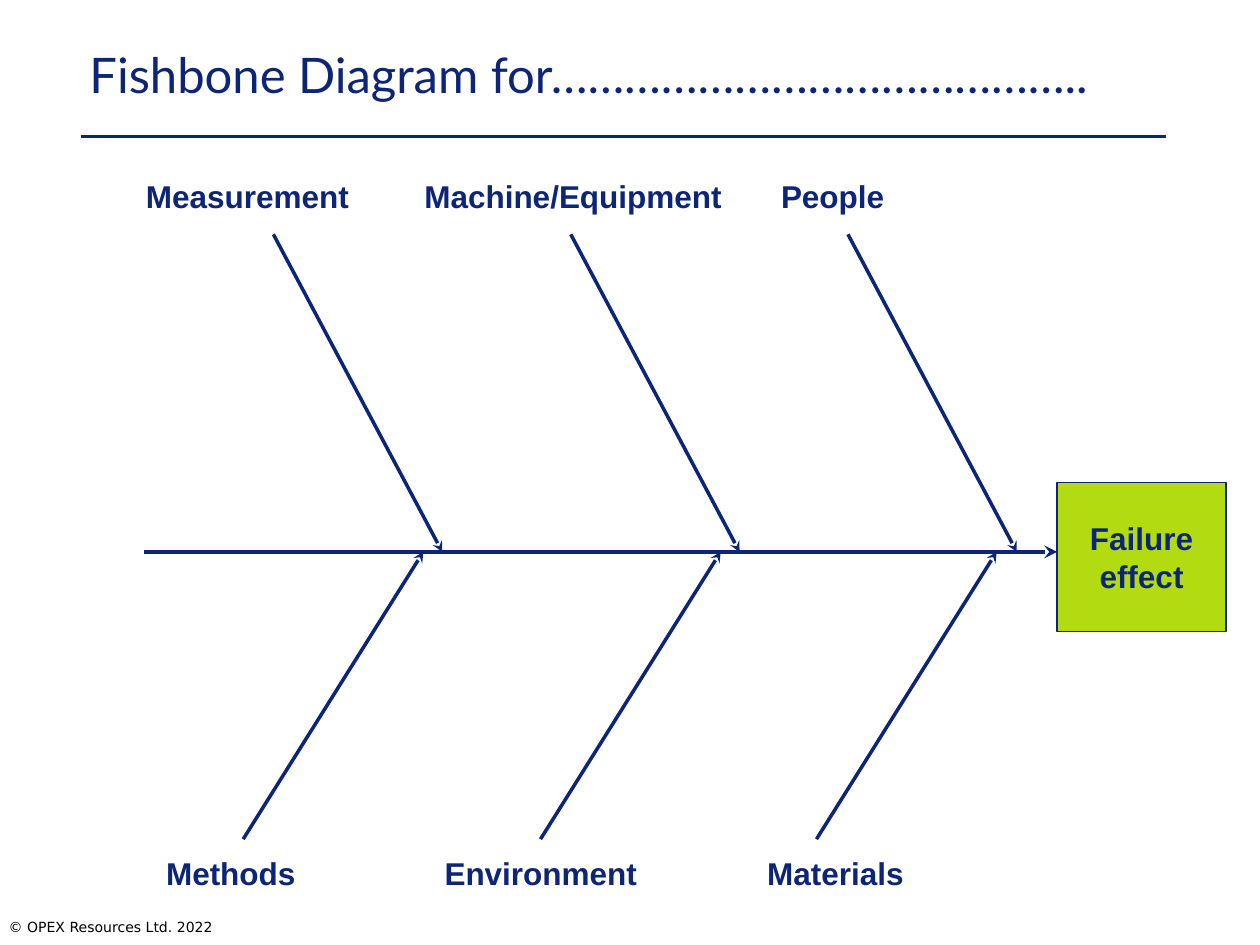
from lxml import etree
from pptx import Presentation
from pptx.dml.color import RGBColor
from pptx.enum.shapes import MSO_CONNECTOR, MSO_SHAPE
from pptx.enum.text import MSO_ANCHOR, MSO_AUTO_SIZE, PP_ALIGN
from pptx.oxml.ns import qn
from pptx.util import Inches, Pt

NAVY = RGBColor(0x0C, 0x25, 0x77)
LIME = RGBColor(0xB3, 0xDB, 0x11)
BLACK = RGBColor(0x00, 0x00, 0x00)

STRAIGHT = MSO_CONNECTOR.STRAIGHT
RECTANGLE = MSO_SHAPE.RECTANGLE
LEFT, CENTER = PP_ALIGN.LEFT, PP_ALIGN.CENTER
TOP, MIDDLE = MSO_ANCHOR.TOP, MSO_ANCHOR.MIDDLE
NO_AUTOFIT = MSO_AUTO_SIZE.NONE

SPINE_Y = 4.38
UPPER_CAUSES = [
    ("Measurement", 1.06, 1.81, 2.17),
    ("Machine/Equipment", 3.27, 2.56, 4.53),
    ("People", 6.1, 1.02, 6.73),
]
LOWER_CAUSES = [
    ("Methods", 1.22, 1.23, 1.93),
    ("Environment", 3.43, 1.73, 4.29),
    ("Materials", 5.99, 1.28, 6.48),
]


def write_text(shape, text, size=18, font="Arial", color=NAVY, bold=True,
               align=LEFT, anchor=TOP, wrap=False):
    frame = shape.text_frame
    frame.auto_size = NO_AUTOFIT
    frame.word_wrap = wrap
    frame.vertical_anchor = anchor
    paragraph = frame.paragraphs[0]
    paragraph.text = text
    paragraph.alignment = align
    paragraph.font.size = Pt(size)
    paragraph.font.name = font
    paragraph.font.bold = bold
    paragraph.font.color.rgb = color


def add_title(slide, text):
    title = slide.shapes.title
    title.left, title.top = Inches(0.67), Inches(0.31)
    title.width, title.height = Inches(8.46), Inches(0.55)
    frame = title.text_frame
    frame.margin_left = frame.margin_right = Inches(0.04)
    frame.margin_top = frame.margin_bottom = Inches(0.04)
    write_text(title, text, size=28, font="Lato", bold=False,
               anchor=MIDDLE, wrap=True)


def add_label(slide, text, left, top, width, height=0.4, **text_format):
    label = slide.shapes.add_textbox(
        Inches(left), Inches(top), Inches(width), Inches(height))
    write_text(label, text, **text_format)


def add_line(slide, start, end, weight, arrow=True):
    line = slide.shapes.add_connector(
        STRAIGHT, *(Inches(value) for value in (*start, *end)))
    line.line.color.rgb = NAVY
    line.line.width = Pt(weight)
    if arrow:
        outline = line.line._get_or_add_ln()
        etree.SubElement(outline, qn("a:tailEnd"), type="stealth")
    etree.SubElement(line._element.spPr, qn("a:effectLst"))


def add_effect_box(slide, text):
    box = slide.shapes.add_shape(
        RECTANGLE, Inches(8.39), Inches(3.83), Inches(1.34), Inches(1.18))
    box.shadow.inherit = False
    box.fill.solid()
    box.fill.fore_color.rgb = LIME
    box.line.color.rgb = NAVY
    box.line.width = Pt(0.75)
    write_text(box, text, align=CENTER, anchor=MIDDLE, wrap=True)


def add_causes(slide, causes, label_top, bone_y, bone_run):
    for text, label_left, label_width, bone_x in causes:
        add_label(slide, text, label_left, label_top, label_width)
        add_line(slide, (bone_x, bone_y), (bone_x + bone_run, SPINE_Y), 2)


def main():
    presentation = Presentation()
    presentation.slide_width = Inches(10)
    presentation.slide_height = Inches(7.5)
    slide = presentation.slides.add_slide(presentation.slide_layouts[5])

    add_title(slide, "Fishbone Diagram for……………………………………..")
    add_line(slide, (0.64, 1.08), (9.25, 1.08), 1.75, arrow=False)
    add_line(slide, (1.14, SPINE_Y), (8.39, SPINE_Y), 2.5)
    add_effect_box(slide, "Failure effect")
    add_causes(slide, UPPER_CAUSES, label_top=1.36, bone_y=1.86, bone_run=1.34)
    add_causes(slide, LOWER_CAUSES, label_top=6.73, bone_y=6.66, bone_run=1.43)
    add_label(slide, "© OPEX Resources Ltd. 2022", -0.03, 7.24, 6.77, 0.23,
              size=8, font="DejaVu Sans", color=BLACK, bold=False, wrap=True)

    presentation.save("out.pptx")


if __name__ == "__main__":
    main()
